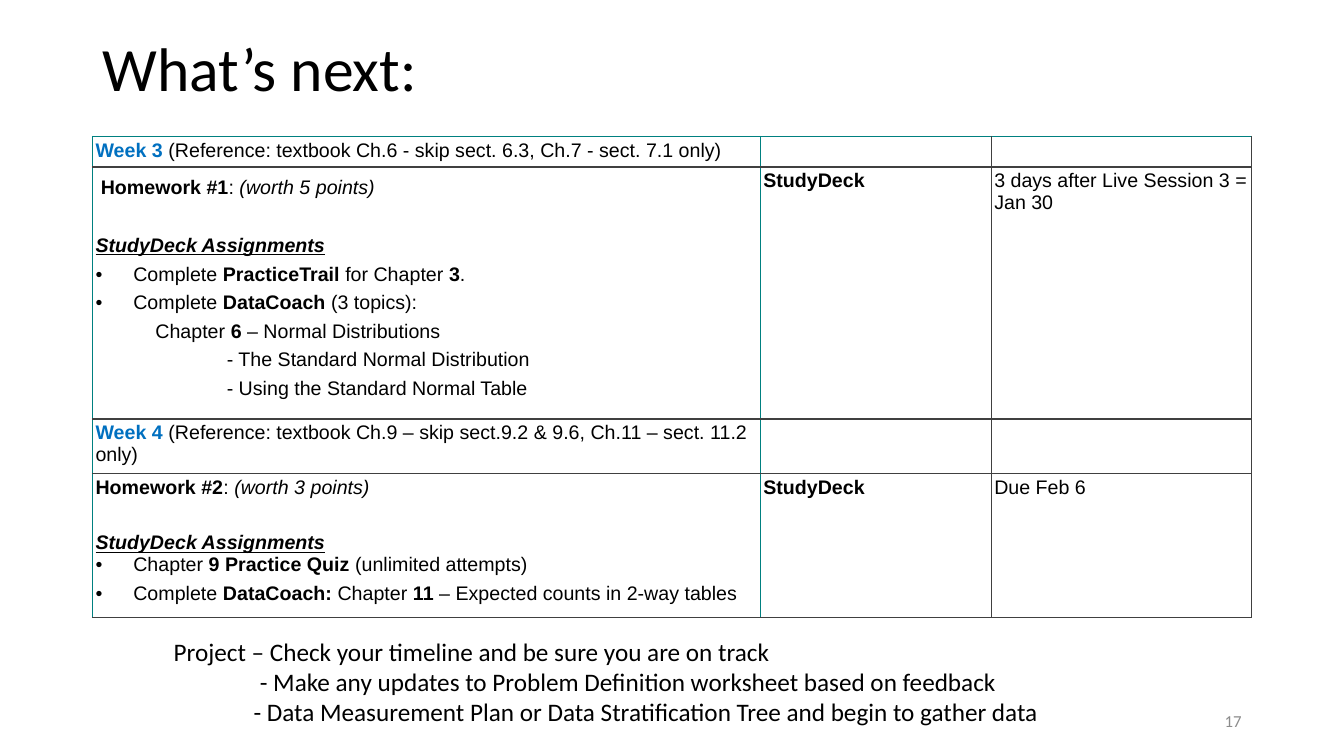
from lxml import etree
from pptx import Presentation
from pptx.dml.color import RGBColor
from pptx.enum.text import MSO_ANCHOR, PP_ALIGN
from pptx.oxml.ns import qn
from pptx.util import Pt

PX = 9525
BLACK = RGBColor(0x00, 0x00, 0x00)
BLUE = RGBColor(0x00, 0x70, 0xC0)
GREY = RGBColor(0x8C, 0x8C, 0x8C)
TEAL = RGBColor(0x00, 0x80, 0x80)
CHARCOAL = RGBColor(0x40, 0x40, 0x40)
LEFT, RIGHT = PP_ALIGN.LEFT, PP_ALIGN.RIGHT
TOP, MIDDLE = MSO_ANCHOR.TOP, MSO_ANCHOR.MIDDLE

deck = Presentation()
deck.slide_width, deck.slide_height = 1280 * PX, 720 * PX
page = deck.slides.add_slide(deck.slide_layouts[6])


def write(frame, lines, font, size, color=BLACK, align=LEFT):
    for index, (spans, layout) in enumerate(lines):
        para = frame.paragraphs[0] if index == 0 else frame.add_paragraph()
        para.alignment = align
        para.line_spacing = layout.get("spacing", 1.0)
        para.space_after = Pt(layout.get("after", 0))
        properties = para._p.get_or_add_pPr()
        properties.set("marL", str(layout.get("indent", 0) * PX))
        if layout.get("bullet"):
            properties.set("indent", str(-layout["indent"] * PX))
            etree.SubElement(properties, qn("a:buFont"), typeface="Arial")
            etree.SubElement(properties, qn("a:buChar"), char="•")
        para.font.name, para.font.size = font, Pt(size)
        para.font.color.rgb = color
        for text, style in spans:
            span = para.add_run()
            span.text = text
            if "b" in style:
                span.font.bold = True
            if "i" in style:
                span.font.italic = True
            if "u" in style:
                span.font.underline = True
            if "w" in style:
                span.font.color.rgb = BLUE


PROJECT = [
    ("Project – Check your timeline and be sure you are on track", 0),
    ("- Make any updates to Problem Definition worksheet based on feedback", 82),
    ("- Data Measurement Plan or Data Stratification Tree and begin to gather data", 76),
]
boxes = [
    ((88, 22, 1104, 92), [([("What’s next:", "")], {"spacing": 0.9})], 44, BLACK, LEFT, MIDDLE),
    ((156, 601, 853, 97), [([(text, "")], {"indent": indent}) for text, indent in PROJECT],
     18, BLACK, LEFT, TOP),
    ((904, 667, 288, 38), [([("17", "")], {})], 12, GREY, RIGHT, MIDDLE),
]
for place, lines, size, color, align, anchor in boxes:
    box = page.shapes.add_textbox(*(value * PX for value in place))
    box.text_frame.word_wrap = True
    box.text_frame.vertical_anchor = anchor
    write(box.text_frame, lines, "Calibri", size, color, align)

LOOSE = {"spacing": 1.3}
LOOSE_BULLET = {"spacing": 1.3, "indent": 36, "bullet": True}
BULLET = {"after": 5, "indent": 36, "bullet": True}
ASSIGNMENTS = [("StudyDeck Assignments", "biu")]
PLATFORM = [([("StudyDeck", "b")], {})]

homework_1 = [
    ([("Homework #1", "b"), (": ", ""), ("(worth 5 points)", "i")],
     {"spacing": 1.3, "after": 21, "indent": 5}),
    (ASSIGNMENTS, LOOSE),
    ([("Complete ", ""), ("PracticeTrail", "b"), (" for Chapter ", ""), ("3", "b"), (".", "")],
     LOOSE_BULLET),
    ([("Complete ", ""), ("DataCoach ", "b"), ("(3 topics):", "")], LOOSE_BULLET),
    ([("Chapter ", ""), ("6", "b"), (" – Normal Distributions", "")],
     {"spacing": 1.3, "indent": 57}),
    ([("- The Standard Normal Distribution", "")], {"spacing": 1.3, "indent": 125}),
    ([("- Using the Standard Normal Table", "")], {"spacing": 1.3, "indent": 125}),
]
homework_2 = [
    ([("Homework #2", "b"), (": ", ""), ("(worth 3 points)", "i")], {"after": 16}),
    (ASSIGNMENTS, {"spacing": 1.5}),
    ([("Chapter ", ""), ("9 Practice Quiz", "b"), (" (unlimited attempts)", "")], BULLET),
    ([("Complete ", ""), ("DataCoach:", "b"), (" Chapter ", ""), ("11", "b"),
      (" – Expected counts in 2-way tables", "")], BULLET),
]
week_3 = [([("Week 3 ", "bw"),
            ("(Reference: textbook Ch.6 - skip sect. 6.3, Ch.7 - sect. 7.1 only)", "")], {})]
week_4 = [([("Week 4 ", "bw"),
            ("(Reference: textbook Ch.9 – skip sect.9.2 & 9.6, Ch.11 – sect. 11.2 only)", "")], {})]
EMPTY = [([], {})]
schedule = [
    [week_3, EMPTY, EMPTY],
    [homework_1, PLATFORM, [([("3 days after Live Session 3 = Jan 30", "")], {})]],
    [week_4, EMPTY, EMPTY],
    [homework_2, PLATFORM, [([("Due Feb 6", "")], {})]],
]
widths = [636, 220, 248]
heights = [29, 240, 52, 137]
table = page.shapes.add_table(4, 3, 88 * PX, 130 * PX, sum(widths) * PX, sum(heights) * PX).table
table.first_row = False
table.horz_banding = False
for column, width in zip(table.columns, widths):
    column.width = width * PX
for row, height in zip(table.rows, heights):
    row.height = height * PX

for row_index, row in enumerate(schedule):
    for column_index, lines in enumerate(row):
        cell = table.cell(row_index, column_index)
        cell.margin_left = cell.margin_right = cell.margin_top = cell.margin_bottom = 3 * PX
        write(cell.text_frame, lines, "Arial", 14)
        if lines is EMPTY:
            etree.SubElement(cell.text_frame.paragraphs[0]._p, qn("a:endParaRPr"), sz="1400")
        teal_edges = {
            "a:lnL": column_index < 2,
            "a:lnR": column_index == 0,
            "a:lnT": row_index == 0,
            "a:lnB": False,
        }
        cell_properties = cell._tc.get_or_add_tcPr()
        for edge, is_teal in teal_edges.items():
            line = etree.SubElement(cell_properties, qn(edge), w=str(Pt(1)))
            fill = etree.SubElement(line, qn("a:solidFill"))
            etree.SubElement(fill, qn("a:srgbClr"), val=str(TEAL if is_teal else CHARCOAL))
        cell.fill.background()

deck.save("out.pptx")
